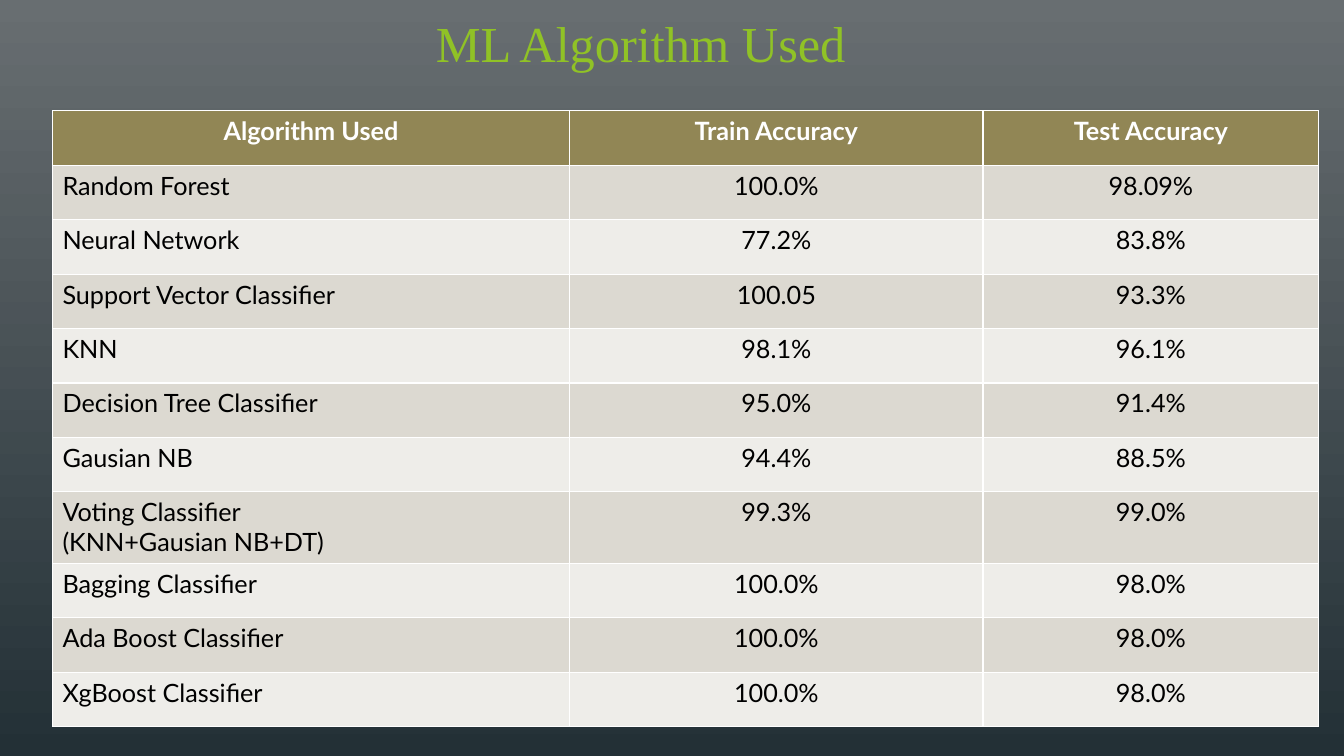
from lxml import etree
from pptx import Presentation
from pptx.dml.color import RGBColor
from pptx.enum.text import MSO_ANCHOR, PP_ALIGN
from pptx.oxml.ns import qn
from pptx.util import Inches, Pt

CENTER, LEFT = PP_ALIGN.CENTER, PP_ALIGN.LEFT
TOP = MSO_ANCHOR.TOP

WHITE, BLACK, GREEN = "FFFFFF", "000000", "90C226"
HEADER_FILL = "918655"
BAND_FILLS = ("EEEDE9", "DCD9D1")
BACKGROUND_COLORS = ("686E71", "233036")

COLUMN_WIDTHS = (5.13, 4.1, 3.33)
ROW_HEIGHT, LINE_PAIR_HEIGHT = 0.54, 0.71
ACCURACIES = (
    ("Algorithm Used", "Train Accuracy", "Test Accuracy"),
    ("Random Forest", "100.0%", "98.09%"),
    ("Neural Network", "77.2%", "83.8%"),
    ("Support Vector Classifier", "100.05", "93.3%"),
    ("KNN", "98.1%", "96.1%"),
    ("Decision Tree Classifier", "95.0%", "91.4%"),
    ("Gausian NB", "94.4%", "88.5%"),
    ("Voting Classifier\n(KNN+Gausian NB+DT)", "99.3%", "99.0%"),
    ("Bagging Classifier", "100.0%", "98.0%"),
    ("Ada Boost Classifier", "100.0%", "98.0%"),
    ("XgBoost Classifier", "100.0%", "98.0%"),
)


def rgb(color):
    return RGBColor.from_string(color)


def write_text(frame, text, font, size, color, align, bold=False):
    """Write one paragraph for each line of the text."""
    for index, line in enumerate(text.split("\n")):
        paragraph = frame.add_paragraph() if index else frame.paragraphs[0]
        paragraph.alignment = align
        run = paragraph.add_run()
        run.text = line
        run.font.name = font
        run.font.size = Pt(size)
        run.font.bold = bold
        run.font.color.rgb = rgb(color)


def set_background(slide):
    fill = slide.background.fill
    fill.gradient()
    fill.gradient_angle = 270
    for stop, color in zip(fill.gradient_stops, BACKGROUND_COLORS):
        stop.color.rgb = rgb(color)


def add_title(slide, text):
    title = slide.shapes.add_textbox(Inches(0.3), 0, Inches(12.11), Inches(0.63))
    frame = title.text_frame
    frame.word_wrap = True
    frame.vertical_anchor = TOP
    frame.margin_top, frame.margin_bottom = Inches(0.12), 0
    write_text(frame, text, "Times New Roman", 36, GREEN, CENTER)


def add_borders(cell, color):
    properties = cell._tc.get_or_add_tcPr()
    for side in ("a:lnL", "a:lnR", "a:lnT", "a:lnB"):
        line = etree.SubElement(properties, qn(side), w=str(Pt(1)))
        fill = etree.SubElement(line, qn("a:solidFill"))
        etree.SubElement(fill, qn("a:srgbClr"), val=color)


def fill_cell(cell, text, row, column):
    is_header = row == 0
    add_borders(cell, WHITE)
    cell.fill.solid()
    cell.fill.fore_color.rgb = rgb(HEADER_FILL if is_header else BAND_FILLS[row % 2])
    write_text(cell.text_frame, text, "Lato", 18, WHITE if is_header else BLACK,
               CENTER if is_header or column else LEFT, is_header)


def add_accuracy_table(slide):
    heights = [LINE_PAIR_HEIGHT if "\n" in row[0] else ROW_HEIGHT for row in ACCURACIES]
    table = slide.shapes.add_table(
        len(heights), len(COLUMN_WIDTHS), Inches(0.52), Inches(1.1),
        Inches(sum(COLUMN_WIDTHS)), Inches(sum(heights))).table
    for column, width in zip(table.columns, COLUMN_WIDTHS):
        column.width = Inches(width)
    for row, height in zip(table.rows, heights):
        row.height = Inches(height)
    for row, values in enumerate(ACCURACIES):
        for column, value in enumerate(values):
            fill_cell(table.cell(row, column), value, row, column)


def main():
    deck = Presentation()
    deck.slide_width, deck.slide_height = Inches(13.33), Inches(7.5)
    slide = deck.slides.add_slide(deck.slide_layouts[6])
    set_background(slide)
    add_title(slide, "ML Algorithm Used")
    add_accuracy_table(slide)
    deck.save("out.pptx")


if __name__ == "__main__":
    main()
